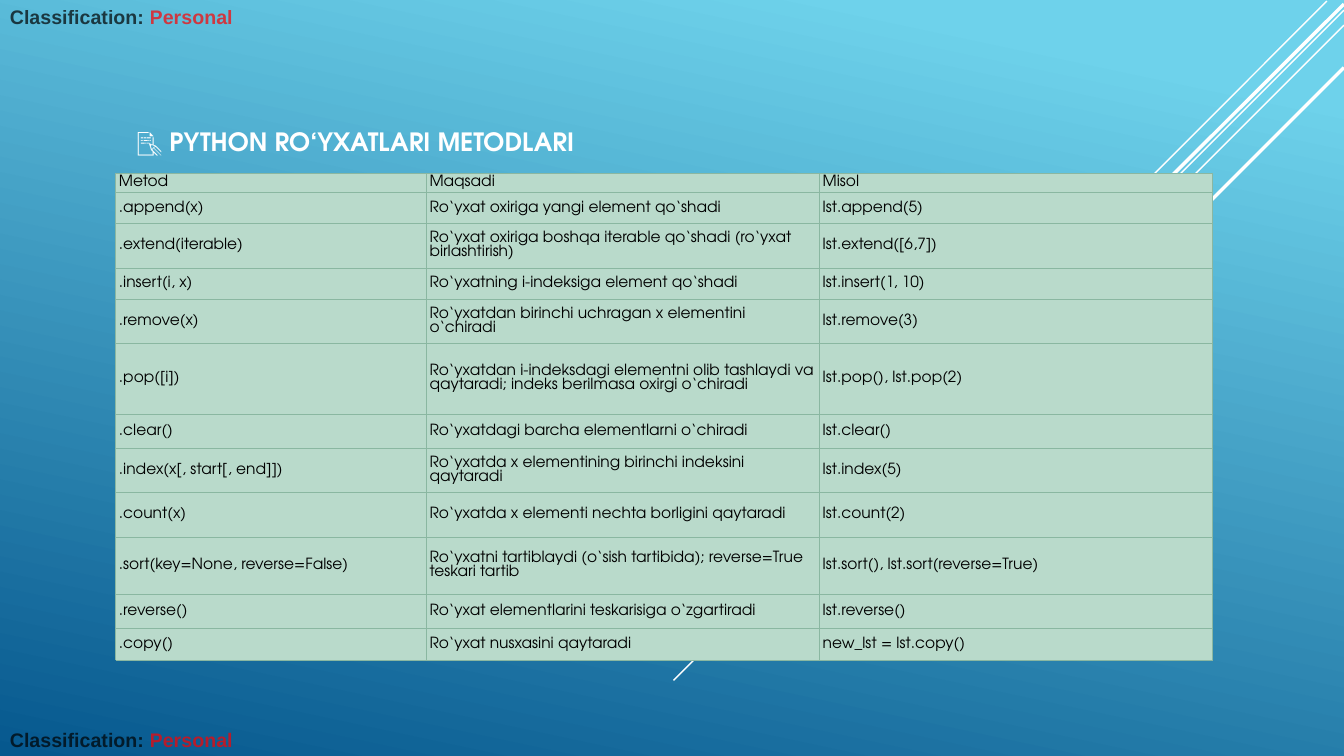
from dataclasses import dataclass
from lxml.etree import SubElement as Sub
from pptx import Presentation as Deck
from pptx.dml.color import RGBColor as Rgb
from pptx.enum.shapes import MSO_CONNECTOR as Link
from pptx.enum.text import MSO_ANCHOR as Anchor
from pptx.oxml.ns import qn
from pptx.util import Inches, Pt


@dataclass(frozen=True)
class Theme:
    sky: str = "6ED2EB"
    sea: str = "06588E"
    white: str = "FFFFFF"
    black: str = "000000"
    red: str = "FF0000"
    mint: str = "B9DACB"
    edge: str = "8AB7A1"
    face: str = "TeX Gyre Adventor"
    plain: str = "Arial"
    head: int = 18
    label: int = 14
    body: int = 11
    lead: int = 10


def put(item, **form):
    for name, value in form.items():
        setattr(item, name, value)


class Page:
    def __init__(self, deck, theme):
        self.theme = theme
        self.slide = deck.slides.add_slide(deck.slide_layouts[6])
        self.shapes = self.slide.shapes

    def back(self, angle, stops):
        fill = self.slide.background.fill
        fill.gradient()
        fill.gradient_angle = angle
        for stop, (place, color) in zip(fill.gradient_stops, stops):
            stop.position = place
            stop.color.rgb = Rgb.from_string(color)

    def line(self, start, end, width):
        ends = [Inches(n) for n in (*start, *end)]
        line = self.shapes.add_connector(Link.STRAIGHT, *ends)
        line.line.color.rgb = Rgb.from_string(self.theme.white)
        line.line.width = Pt(width)
        Sub(line._element.spPr, qn("a:effectLst"))

    def run(self, para, text, color, alpha=None, **form):
        run = para.add_run()
        run.text = text
        put(run.font, **form)
        run.font.color.rgb = Rgb.from_string(color)
        if alpha:
            tint = run._r.rPr.find(".//" + qn("a:srgbClr"))
            Sub(tint, qn("a:alpha"), val=str(alpha * 1000))

    def text(self, spot, anchor, runs, **form):
        box = self.shapes.add_textbox(*[Inches(n) for n in spot])
        put(box.text_frame, word_wrap=True, vertical_anchor=anchor)
        for part in runs:
            self.run(box.text_frame.paragraphs[0], **{**form, **part})

    def border(self, cell):
        props = cell._tc.get_or_add_tcPr()
        for side in ("lnL", "lnR", "lnT", "lnB"):
            line = Sub(props, qn("a:" + side), w=str(Pt(0.75)))
            Sub(Sub(line, qn("a:solidFill")), qn("a:srgbClr"), val=self.theme.edge)

    def cell(self, cell, text):
        look = self.theme
        self.border(cell)
        cell.fill.solid()
        cell.fill.fore_color.rgb = Rgb.from_string(look.mint)
        side, rim = Inches(0.03), Inches(0.02)
        put(cell, margin_left=side, margin_right=side, margin_top=rim,
            margin_bottom=rim, vertical_anchor=Anchor.MIDDLE)
        para = cell.text_frame.paragraphs[0]
        para.line_spacing = Pt(look.lead)
        self.run(para, text, look.black, size=Pt(look.body), name=look.face)

    def table(self, left, top, widths, rows):
        spot = [Inches(n) for n in (left, top, sum(widths), sum(r[0] for r in rows))]
        table = self.shapes.add_table(len(rows), len(widths), *spot).table
        put(table, first_row=False, horz_banding=False)
        for col, width in zip(table.columns, widths):
            col.width = Inches(width)
        for row, (height, *words) in zip(table.rows, rows):
            row.height = Inches(height)
            for cell, word in zip(row.cells, words):
                self.cell(cell, word)


LINES = [
    ((13.16, 0.01), (9, 4.18), 1),
    ((13.33, 0.1), (6.68, 6.75), 1),
    ((13.33, 0.25), (7.91, 5.67), 1),
    ((13.33, 0.04), (8.02, 5.34), 2.5),
    ((13.33, 0.67), (8.58, 5.42), 2.5),
]
ROWS = [
    (0.19, "Metod", "Maqsadi", "Misol"),
    (0.31, ".append(x)", "Ro‘yxat oxiriga yangi element qo‘shadi", "lst.append(5)"),
    (0.44, ".extend(iterable)",
     "Ro‘yxat oxiriga boshqa iterable qo‘shadi (ro‘yxat birlashtirish)",
     "lst.extend([6,7])"),
    (0.31, ".insert(i, x)", "Ro‘yxatning i-indeksiga element qo‘shadi",
     "lst.insert(1, 10)"),
    (0.44, ".remove(x)", "Ro‘yxatdan birinchi uchragan x elementini o‘chiradi",
     "lst.remove(3)"),
    (0.7, ".pop([i])",
     "Ro‘yxatdan i-indeksdagi elementni olib tashlaydi va qaytaradi; "
     "indeks berilmasa oxirgi o‘chiradi", "lst.pop(), lst.pop(2)"),
    (0.34, ".clear()", "Ro‘yxatdagi barcha elementlarni o‘chiradi", "lst.clear()"),
    (0.44, ".index(x[, start[, end]])",
     "Ro‘yxatda x elementining birinchi indeksini qaytaradi", "lst.index(5)"),
    (0.44, ".count(x)", "Ro‘yxatda x elementi nechta borligini qaytaradi",
     "lst.count(2)"),
    (0.57, ".sort(key=None, reverse=False)",
     "Ro‘yxatni tartiblaydi (o‘sish tartibida); reverse=True teskari tartib",
     "lst.sort(), lst.sort(reverse=True)"),
    (0.34, ".reverse()", "Ro‘yxat elementlarini teskarisiga o‘zgartiradi",
     "lst.reverse()"),
    (0.31, ".copy()", "Ro‘yxat nusxasini qaytaradi", "new_lst = lst.copy()"),
]


def main():
    deck = Deck()
    put(deck, slide_width=Inches(13.33), slide_height=Inches(7.5))
    look = Theme()
    page = Page(deck, look)
    page.back(258, [(0.1, look.sky), (1, look.sea)])
    for line in LINES:
        page.line(*line)
    page.text((1.26, 0.67, 9.65, 0.93), Anchor.BOTTOM,
              [{"text": "📝 "}, {"text": "PYTHON RO‘YXATLARI METODLARI", "bold": True}],
              color=look.white, size=Pt(look.head), name=look.face)
    page.table(1.15, 1.72, (3.08, 3.9, 3.9), ROWS)
    for top, anchor in ((0, Anchor.TOP), (7.05, Anchor.BOTTOM)):
        page.text((0, top, 13.33, 0.45), anchor,
                  [{"text": "Classification: ", "color": look.black},
                   {"text": "Personal", "color": look.red}],
                  alpha=70, bold=True, size=Pt(look.label), name=look.plain)
    deck.save("out.pptx")


if __name__ == "__main__":
    main()
